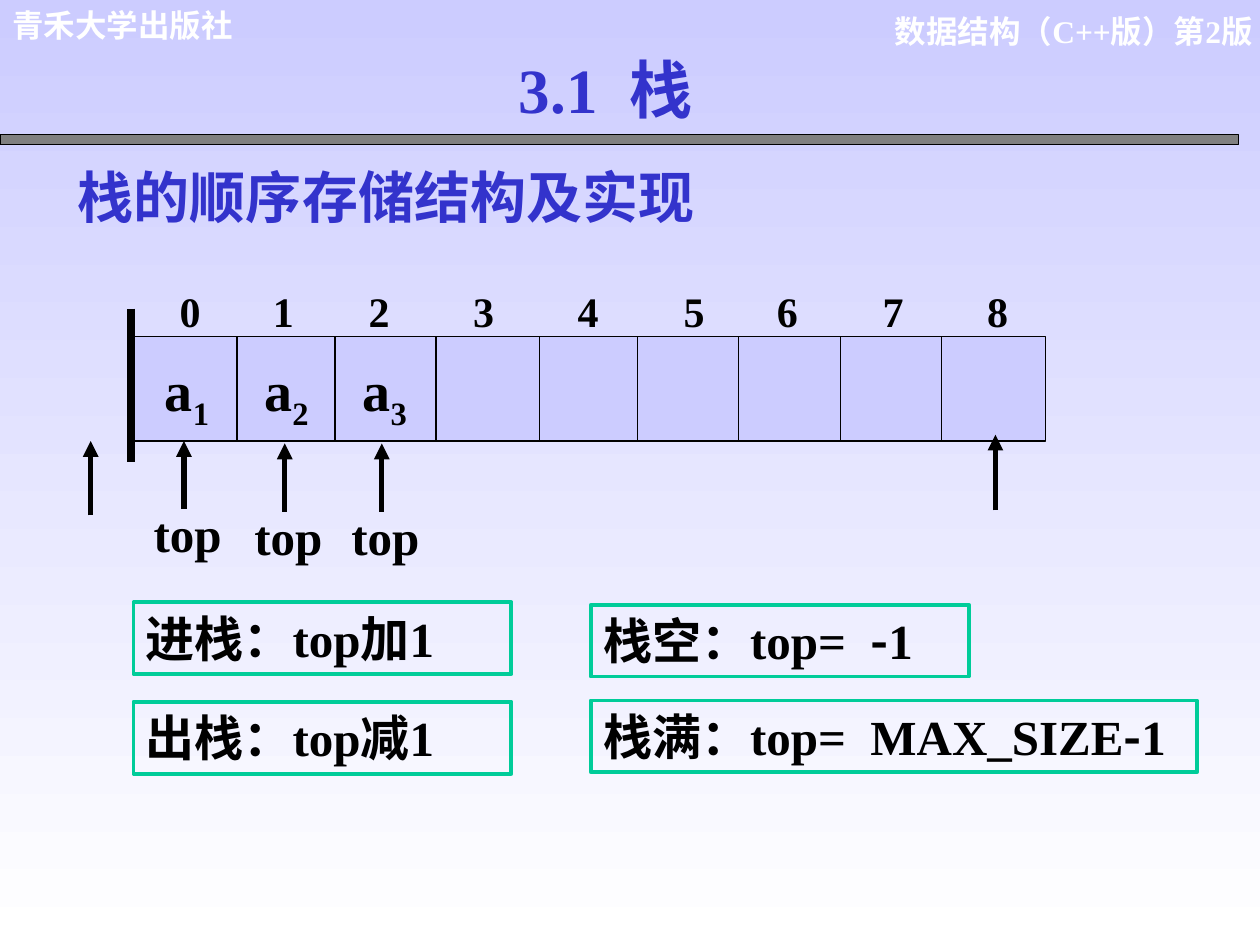
from lxml import etree
from pptx import Presentation
from pptx import util as u
from pptx.dml.color import RGBColor
from pptx.enum import shapes, text
from pptx.oxml import ns

LOOK = {
    "black": RGBColor(0, 0, 0), "white": RGBColor(255, 255, 255),
    "blue": RGBColor(0x33, 0x33, 0xCC), "green": RGBColor(0, 0xCC, 0x99),
    "gray": RGBColor(0x80, 0x80, 0x80), "pale": RGBColor(0xCC, 0xCC, 0xFF),
    "serif": "Times New Roman", "sans": "Arial", "han": "Noto Sans CJK SC",
    "head": 18, "index": 24, "body": 28, "large": 32, "title": 36,
}
LEFT, MID, RIGHT = (text.PP_ALIGN.LEFT, text.PP_ALIGN.CENTER,
                    text.PP_ALIGN.RIGHT)

deck = Presentation()
deck.slide_width, deck.slide_height = u.Inches(10), u.Inches(7.5)
slide = deck.slides.add_slide(deck.slide_layouts[6])
back = slide.background.fill
back.gradient()
back.gradient_angle = 270
for stop, name in zip(back.gradient_stops, ("pale", "white")):
    stop.color.rgb = LOOK[name]


def write(at, parts, size="body", color="black", align=LEFT, edge=None):
    """Put (words, font) parts in a text box, or in a framed box if edge is set."""
    spot = [u.Inches(n) for n in at]
    if edge:
        box = slide.shapes.add_shape(shapes.MSO_SHAPE.RECTANGLE, *spot)
        box.shadow.inherit = False
        box.fill.background()
        box.line.color.rgb = LOOK[edge]
        box.line.width = u.Pt(2.25)
    else:
        box = slide.shapes.add_textbox(*spot)
    frame = box.text_frame
    frame.word_wrap = True
    frame.vertical_anchor = text.MSO_ANCHOR.TOP
    para = frame.paragraphs[0]
    para.alignment = align
    for words, face in parts:
        run = para.add_run()
        run.text = words
        font = run.font
        font.size, font.bold = u.Pt(LOOK[size]), True
        font.color.rgb = LOOK[color]
        font.name = LOOK[face]
        east = etree.SubElement(font._element, ns.qn("a:ea"))
        east.set("typeface", LOOK["han"])
    return para


def draw(x1, y1, x2, y2, width, tip=False):
    """Draw a black line, with an arrowhead at its end if tip is set."""
    ends = [u.Inches(n) for n in (x1, y1, x2, y2)]
    line = slide.shapes.add_connector(shapes.MSO_CONNECTOR.STRAIGHT, *ends)
    line.line.color.rgb = LOOK["black"]
    line.line.width = u.Pt(width)
    props = line._element.spPr
    if tip:
        head = etree.SubElement(props.find(ns.qn("a:ln")), ns.qn("a:tailEnd"))
        head.set("type", "triangle")
    etree.SubElement(props, ns.qn("a:effectLst"))


# Header, rule and headings
write((6.39, 0.05, 3.65, 0.4), [("数据结构（C++版）第2版", "serif")],
      "head", "white", RIGHT)
write((0, 0, 2.71, 0.4), [("青禾大学出版社", "sans")], "head", "white")
title = write((2.6, 0.35, 4.41, 0.7), [("3.1  栈", "serif")],
              "title", "blue", MID)
effect = etree.Element(ns.qn("a:effectLst"))
shade = etree.SubElement(effect, ns.qn("a:outerShdw"),
                         dist="25400", dir="2700000")
etree.SubElement(shade, ns.qn("a:srgbClr"), val=str(LOOK["gray"]))
title.runs[0].font._element.find(ns.qn("a:solidFill")).addnext(effect)
write((0.52, 1.24, 6.42, 0.64), [("栈的顺序存储结构及实现", "serif")],
      "large", "blue")

# Header rule and the array body
for at, name in (((0, 1.07, 9.83, 0.08), "gray"),
                 ((1.06, 2.67, 7.24, 0.83), "pale")):
    bar = slide.shapes.add_shape(shapes.MSO_SHAPE.RECTANGLE,
                                 *[u.Inches(n) for n in at])
    bar.shadow.inherit = False
    bar.fill.solid()
    bar.fill.fore_color.rgb = LOOK[name]
    bar.line.color.rgb = LOOK["black"]
    bar.line.width = u.Pt(0.75)

# Cell borders and the wall at the bottom of the stack
for x in (1.88, 2.66, 3.46, 4.28, 5.06, 5.86, 6.67, 7.47):
    draw(x, 2.67, x, 3.5, 0.75)
draw(1.04, 2.45, 1.04, 3.67, 4.5)

# Indices, each centred on its own tab stop
marks = (1.51, 2.25, 3.01, 3.84, 4.67, 5.51, 6.25, 7.09, 7.92)
row = write((1.08, 2.22, 7.33, 0.5),
            [("".join(f"\t{i}" for i in range(len(marks))), "serif")], "index")
tabs = etree.SubElement(row._p.get_or_add_pPr(), ns.qn("a:tabLst"))
for x in marks:
    etree.SubElement(tabs, ns.qn("a:tab"),
                     pos=str(u.Inches(x - 1.18)), algn="ctr")

# Stored items, each with its own top arrow
items = ((1.21, 1.46, 3.5), (2, 2.26, 3.52), (2.78, 3.03, 3.52))
for i, (left, x, y) in enumerate(items, 1):
    item = write((left, 2.77, 0.67, 0.71), [("a", "serif"), (str(i), "serif")],
                 "large")
    item.runs[1].font._element.set("baseline", "-25000")
    draw(x, y + 0.54, x, y, 3, tip=True)
    write((x - 0.34, y + 0.45, 0.79, 0.57), [("top", "serif")])

# Positions of top for an empty and a full stack
draw(0.72, 4.09, 0.72, 3.5, 3, tip=True)
draw(7.9, 4.05, 7.9, 3.45, 3, tip=True)

# Rules for push, pop, empty and full
minus = [("-", "han"), ("1", "serif")]
rules = (
    (1.06, 4.78, 3, [("进栈：top加1", "serif")]),
    (1.06, 5.57, 3, [("出栈：top减1", "serif")]),
    (4.69, 4.8, 3, [("栈空：top=  ", "serif")] + minus),
    (4.69, 5.56, 4.81, [("栈满：top=  MAX_SIZE", "serif")] + minus),
)
for x, y, wide, parts in rules:
    write((x, y, wide, 0.57), parts, edge="green")

deck.save("out.pptx")
